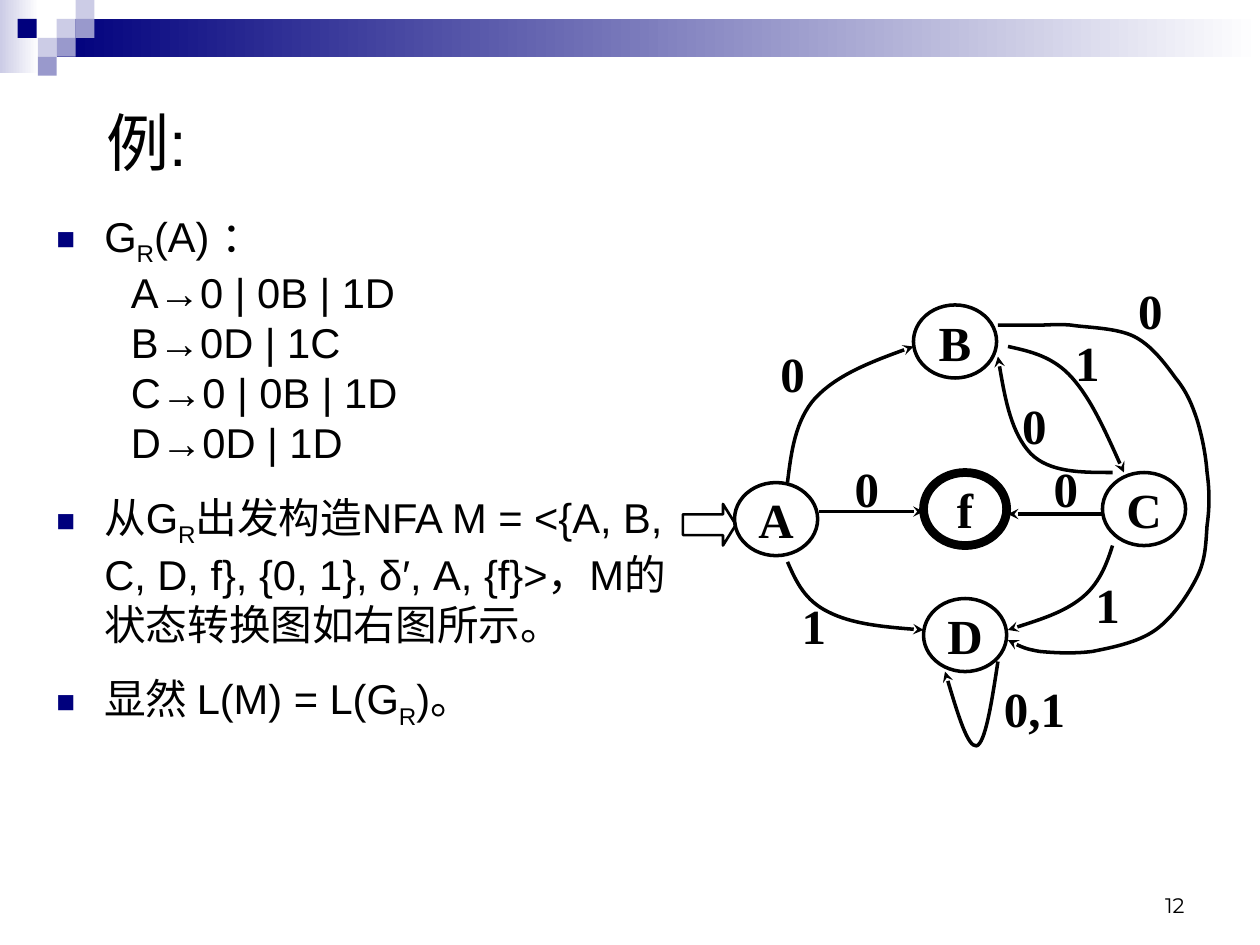
from dataclasses import dataclass

from lxml.etree import SubElement
from pptx import Presentation
from pptx.dml.color import RGBColor
from pptx.enum.shapes import MSO_CONNECTOR, MSO_SHAPE
from pptx.enum.text import MSO_ANCHOR, PP_ALIGN
from pptx.oxml.ns import qn
from pptx.util import Inches, Pt

RECTANGLE, OVAL, RIGHT_ARROW = MSO_SHAPE.RECTANGLE, MSO_SHAPE.OVAL, MSO_SHAPE.RIGHT_ARROW
STRAIGHT = MSO_CONNECTOR.STRAIGHT
TOP, MIDDLE, BOTTOM = MSO_ANCHOR.TOP, MSO_ANCHOR.MIDDLE, MSO_ANCHOR.BOTTOM
LEFT, CENTER, RIGHT = PP_ALIGN.LEFT, PP_ALIGN.CENTER, PP_ALIGN.RIGHT


@dataclass(frozen=True)
class Theme:
    ink: str = "000000"
    navy: str = "00007D"
    lavender: str = "9999CC"
    pale: str = "CCCCE6"
    white: str = "FFFFFF"
    title = {"name": "Arial", "size": Pt(36)}
    body = {"name": "Arial", "size": Pt(23.8)}
    diagram = {"name": "Times New Roman", "size": Pt(28), "bold": True}
    number = {"name": "Montserrat", "size": Pt(12)}
    stroke: float = 2
    bullet_percent: int = 75


THEME = Theme()


@dataclass(frozen=True)
class State:
    name: str
    left: float
    top: float
    stroke: float = THEME.stroke


@dataclass(frozen=True)
class Label:
    text: str
    left: float
    top: float


@dataclass(frozen=True)
class Line:
    """Body line; pieces alternate between normal text and subscript."""
    pieces: tuple
    bulleted: bool = False


PIXEL = 0.15
MOSAIC = [(0.45, 0.15, THEME.pale), (0.6, 0, THEME.pale), (0.6, 0.15, THEME.lavender),
          (0.3, 0.3, THEME.pale), (0.14, 0.15, THEME.navy),
          (0.45, 0.3, THEME.lavender), (0.3, 0.45, THEME.lavender)]

BODY = [
    Line(("G", "R", "(A) ："), True),
    Line(("A→0 | 0B | 1D",)),
    Line(("B→0D | 1C",)),
    Line(("C→0 | 0B | 1D",)),
    Line(("D→0D | 1D",)),
    Line(("从G", "R", "出发构造NFA M = <{A, B, C, D, f}, {0, 1}, δ′, A, {f}>，"
          "M的状态转换图如右图所示。"), True),
    Line(("显然 L(M) = L(G", "R", ")。"), True),
]

STATE_SIZE = (0.66, 0.58)
STATES = [State("A", 5.83, 3.83), State("B", 7.25, 2.42), State("C", 8.75, 3.75),
          State("D", 7.33, 4.75), State("f", 7.33, 3.75, 5)]

LABEL_SIZE = (0.92, 0.58)
LABELS = [Label("1", 8.17, 2.58), Label("0", 5.83, 2.67), Label("0,1", 7.75, 5.33),
          Label("1", 6, 4.67), Label("1", 8.33, 4.5), Label("0", 7.75, 3.08),
          Label("0", 8.67, 2.17), Label("0", 6.42, 3.58), Label("0", 8, 3.58)]

# Each curve is a start point followed by Bezier triples (control, control, end).
CURVES = {
    "D to D": [(7.92, 5.25), (7.87, 5.58), (7.82, 5.9), (7.75, 5.92),
               (7.68, 5.93), (7.59, 5.63), (7.5, 5.33)],
    "A to B": [(6.25, 3.83), (6.28, 3.59), (6.31, 3.34), (6.47, 3.16),
               (6.64, 2.98), (6.94, 2.86), (7.25, 2.75)],
    "A to D": [(6.25, 4.46), (6.32, 4.62), (6.39, 4.77), (6.58, 4.86),
               (6.76, 4.95), (7.04, 4.98), (7.33, 5)],
    "C to B": [(8.83, 3.75), (8.58, 3.75), (8.33, 3.75), (8.18, 3.6),
               (8.03, 3.44), (7.97, 3.14), (7.92, 2.83)],
    "B to C": [(8, 2.75), (8.18, 2.79), (8.36, 2.83), (8.51, 3),
               (8.66, 3.17), (8.79, 3.46), (8.92, 3.75)],
    "C to D": [(8.83, 4.33), (8.78, 4.49), (8.72, 4.64), (8.58, 4.75),
               (8.44, 4.86), (8.22, 4.93), (8, 5)],
    "B to D": [(7.92, 2.58), (8.03, 2.58), (8.15, 2.58), (8.25, 2.58),
               (8.35, 2.58), (8.37, 2.57), (8.5, 2.58), (8.62, 2.6), (8.86, 2.6), (9, 2.67),
               (9.14, 2.74), (9.25, 2.89), (9.33, 3), (9.42, 3.11), (9.46, 3.21), (9.5, 3.33),
               (9.54, 3.46), (9.57, 3.61), (9.58, 3.75), (9.6, 3.89), (9.6, 4.03), (9.58, 4.17),
               (9.57, 4.31), (9.57, 4.44), (9.5, 4.58), (9.43, 4.72), (9.31, 4.9), (9.17, 5),
               (9.03, 5.1), (8.82, 5.14), (8.67, 5.17), (8.51, 5.19), (8.36, 5.18), (8.25, 5.17),
               (8.14, 5.15), (8.07, 5.12), (8, 5.08)],
}
STRAIGHT_ARROWS = [(6.5, 4.06, 7.33, 4.06), (8.75, 4.08, 8, 4.08)]


def color(value: str) -> RGBColor:
    return RGBColor.from_string(value)


def add_span(para, text: str, style: dict, subscript: bool = False) -> None:
    span = para.add_run()
    span.text = text
    for name, value in style.items():
        setattr(span.font, name, value)
    span.font.color.rgb = color(THEME.ink)
    if subscript:
        span.font._element.set("baseline", "-25000")


def write(shape, text: str, style: dict, align=CENTER, anchor=MIDDLE, wrap=False) -> None:
    frame = shape.text_frame
    frame.word_wrap = wrap
    frame.vertical_anchor = anchor
    para = frame.paragraphs[0]
    para.alignment = align
    add_span(para, text, style)


def add_box(slide, *bounds: float):
    return slide.shapes.add_textbox(*map(Inches, bounds))


def set_stroke(shape, width: float) -> None:
    shape.line.color.rgb = color(THEME.ink)
    shape.line.width = Pt(width)


def add_outline(slide, kind, bounds: tuple, width: float):
    shape = slide.shapes.add_shape(kind, *map(Inches, bounds))
    shape.shadow.inherit = False
    shape.fill.background()
    set_stroke(shape, width)
    return shape


def add_block(slide, bounds: tuple, *fills: str) -> None:
    """Draw a borderless rectangle, with a gradient when two fills are given."""
    block = slide.shapes.add_shape(RECTANGLE, *map(Inches, bounds))
    block.shadow.inherit = False
    block.line.fill.background()
    if len(fills) == 1:
        block.fill.solid()
        block.fill.fore_color.rgb = color(fills[0])
        return
    block.fill.gradient()
    block.fill.gradient_angle = 0
    for stop, fill in zip(block.fill.gradient_stops, fills):
        stop.color.rgb = color(fill)


def add_arrowhead(shape) -> None:
    SubElement(shape.line._get_or_add_ln(), qn("a:tailEnd"), type="stealth")


def add_curve(slide, points: list) -> None:
    """Build a freeform through all points, then turn each three segments into a Bezier."""
    start, *rest = [(Inches(x), Inches(y)) for x, y in points]
    builder = slide.shapes.build_freeform(*start, scale=1.0)
    builder.add_line_segments(rest, close=False)
    curve = builder.convert_to_shape()
    segments = list(curve._element.iter(qn("a:lnTo")))
    for index in range(0, len(segments), 3):
        first, *others = segments[index:index + 3]
        first.tag = qn("a:cubicBezTo")
        for segment in others:
            first.append(segment[0])
            segment.getparent().remove(segment)
    curve.shadow.inherit = False
    curve.fill.background()
    set_stroke(curve, THEME.stroke)
    add_arrowhead(curve)


def add_straight_arrow(slide, *ends: float) -> None:
    arrow = slide.shapes.add_connector(STRAIGHT, *map(Inches, ends))
    set_stroke(arrow, THEME.stroke)
    add_arrowhead(arrow)
    SubElement(arrow._element.spPr, qn("a:effectLst"))


def format_line(para, line: Line, first: bool) -> None:
    margin, indent = (0.38, -0.38) if line.bulleted else (0.9, -0.31)
    properties = para._p.get_or_add_pPr()
    properties.set("marL", str(Inches(margin)))
    properties.set("indent", str(Inches(indent)))
    if line.bulleted:
        SubElement(SubElement(properties, qn("a:buClr")), qn("a:srgbClr"), val=THEME.navy)
        SubElement(properties, qn("a:buSzPct"), val=str(THEME.bullet_percent * 1000))
        SubElement(properties, qn("a:buFont"), typeface=THEME.body["name"])
        SubElement(properties, qn("a:buChar"), char="■")
    para.space_before = Pt(14 if line.bulleted and not first else 0)


def add_body(slide) -> None:
    frame = add_box(slide, 0.35, 1.62, 5.17, 4.75).text_frame
    frame.word_wrap = True
    frame.vertical_anchor = TOP
    for index, line in enumerate(BODY):
        para = frame.add_paragraph() if index else frame.paragraphs[0]
        format_line(para, line, first=index == 0)
        for position, piece in enumerate(line.pieces):
            add_span(para, piece, THEME.body, subscript=position % 2 == 1)


def add_automaton(slide) -> None:
    for state in STATES:
        oval = add_outline(slide, OVAL, (state.left, state.top, *STATE_SIZE), state.stroke)
        write(oval, state.name, THEME.diagram)
    for points in CURVES.values():
        add_curve(slide, points)
    for ends in STRAIGHT_ARROWS:
        add_straight_arrow(slide, *ends)
    entry = add_outline(slide, RIGHT_ARROW, (5.42, 4, 0.42, 0.33), 1.5)
    entry.adjustments[0], entry.adjustments[1] = 0.5, 0.31
    for label in LABELS:
        write(add_box(slide, label.left, label.top, *LABEL_SIZE), label.text, THEME.diagram)


def main() -> None:
    deck = Presentation()
    deck.slide_width, deck.slide_height = Inches(10), Inches(7.5)
    slide = deck.slides.add_slide(deck.slide_layouts[6])
    add_block(slide, (0, 0, 0.31, 0.58), THEME.pale, THEME.white)
    add_block(slide, (0.45, 0.15, 9.55, 0.3), THEME.navy, THEME.white)
    for left, top, fill in MOSAIC:
        add_block(slide, (left, top, PIXEL, PIXEL), fill)
    write(add_box(slide, 7.17, 6.83, 2.33, 0.5), "12", THEME.number, RIGHT, BOTTOM, True)
    add_body(slide)
    write(add_box(slide, 0.75, 0.5, 9, 1.25), "例:", THEME.title, LEFT, MIDDLE, True)
    add_automaton(slide)
    deck.save("out.pptx")


if __name__ == "__main__":
    main()
